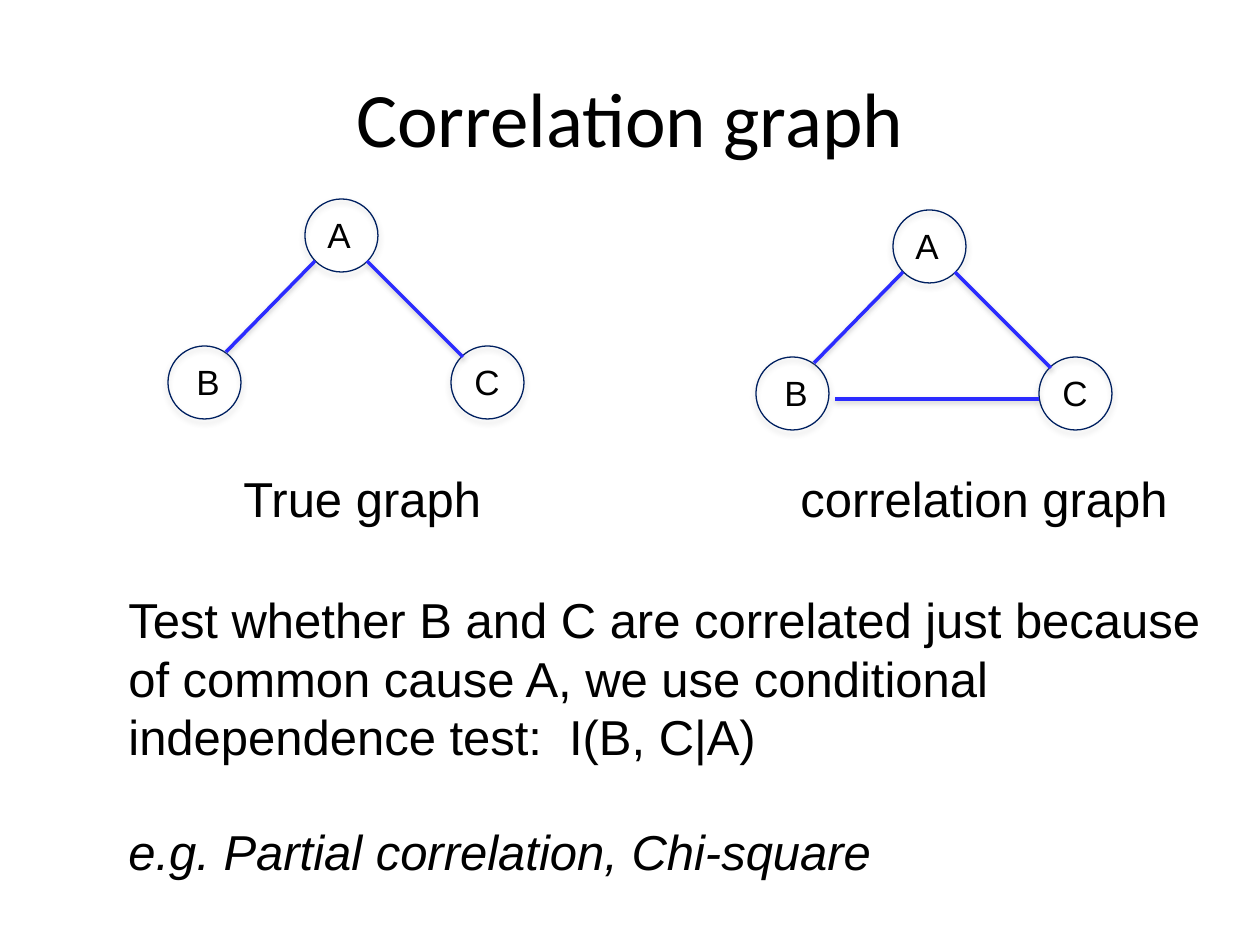
from pptx import Presentation, util as u
from pptx.dml.color import RGBColor
from pptx.enum import shapes, text
from pptx.oxml.ns import qn
from lxml import etree

# Content, lengths in px (126 to the inch)
TITLE = "Correlation graph"
NODES = {  # circle corner, then label offset and width
    "B": ((0, 147), (16, 8), 63),
    "C": ((283, 147), (11, 8), 48),
    "A": ((137, 0), (10, 8), 94),
}
SIDES = [((199, 62), (295, 158)), ((147, 62), (58, 153))]
BASE = ((283, 189), (79, 189))
GRAPHS = [
    dict(at=(168, 199), edges=SIDES, name="True graph", box=(231, 462, 357, 72)),
    dict(at=(756, 210), edges=SIDES + [BASE], name="correlation graph",
         box=(788, 462, 410, 72)),
]
NOTES = [
    ("Test whether B and C are correlated just because of common cause A, "
     "we use conditional independence test:  I(B, C|A)", False),
    ("e.g. Partial correlation, Chi-square", True),
]
NOTE_BOX = (116, 583, 1113, 310)
DIAM = 73

THEME = dict(ink="000000", ring="002060", edge="2B2BFF", shade="808080",
             head="Calibri", body="Arial", title=44, text=28, node=20)


def px(n):
    return u.Emu(int(n * 914400 / 126))


def shift(point, by):
    return point[0] + by[0], point[1] + by[1]


def write(par, words, size=THEME["text"], face=THEME["body"], italic=False,
          align=None, before=0):
    run = par.add_run()
    run.text = words
    font = run.font
    font.size, font.name, font.italic = u.Pt(size), face, italic
    font.color.rgb = RGBColor.from_string(THEME["ink"])
    par.alignment = align
    if before:
        par.space_before = u.Pt(before)


def frame(slide, box):
    tf = slide.shapes.add_textbox(*map(px, box)).text_frame
    tf.word_wrap = True
    return tf


def stroke(shape, color, width):
    shape.line.color.rgb = RGBColor.from_string(color)
    shape.line.width = u.Pt(width)


def shade(shape, alpha, dist):
    props = shape._element.spPr
    fx = props.find(qn("a:effectLst"))
    if fx is None:
        fx = etree.SubElement(props, qn("a:effectLst"))
    drop = etree.SubElement(fx, qn("a:outerShdw"), blurRad=str(u.Pt(3.1)),
                            dist=str(u.Pt(dist)), dir="5400000", rotWithShape="0")
    tone = etree.SubElement(drop, qn("a:srgbClr"), val=THEME["shade"])
    etree.SubElement(tone, qn("a:alpha"), val=str(alpha * 1000))


def draw(slide, graph):
    # Nodes and their letters
    for name, (spot, inset, width) in NODES.items():
        x, y = shift(graph["at"], spot)
        ring = slide.shapes.add_shape(shapes.MSO_SHAPE.OVAL,
                                      *map(px, (x, y, DIAM, DIAM)))
        ring.fill.background()
        stroke(ring, THEME["ring"], 0.75)
        ring.shadow.inherit = False
        shade(ring, 35, 1.8)
        tf = frame(slide, (*shift((x, y), inset), width, 55))
        write(tf.paragraphs[0], name, size=THEME["node"])
    # Edges
    for start, end in graph["edges"]:
        ends = shift(start, graph["at"]) + shift(end, graph["at"])
        edge = slide.shapes.add_connector(shapes.MSO_CONNECTOR.STRAIGHT,
                                          *map(px, ends))
        stroke(edge, THEME["edge"], 2)
        shade(edge, 38, 1.6)
    # Caption
    write(frame(slide, graph["box"]).paragraphs[0], graph["name"])


def main():
    prs = Presentation()
    prs.slide_width, prs.slide_height = px(1260), px(945)
    slide = prs.slides.add_slide(prs.slide_layouts[5])

    # Title
    title = slide.shapes.title
    title.left, title.top, title.width, title.height = map(px, (63, 38, 1134, 157))
    title.text_frame.vertical_anchor = text.MSO_ANCHOR.MIDDLE
    write(title.text_frame.paragraphs[0], TITLE, size=THEME["title"],
          face=THEME["head"], align=text.PP_ALIGN.CENTER)

    for graph in GRAPHS:
        draw(slide, graph)

    # Explanation, its paragraphs one line apart
    tf = frame(slide, NOTE_BOX)
    for i, (words, italic) in enumerate(NOTES):
        par = tf.add_paragraph() if i else tf.paragraphs[0]
        write(par, words, italic=italic, before=32 * i)

    prs.save("out.pptx")


if __name__ == "__main__":
    main()
